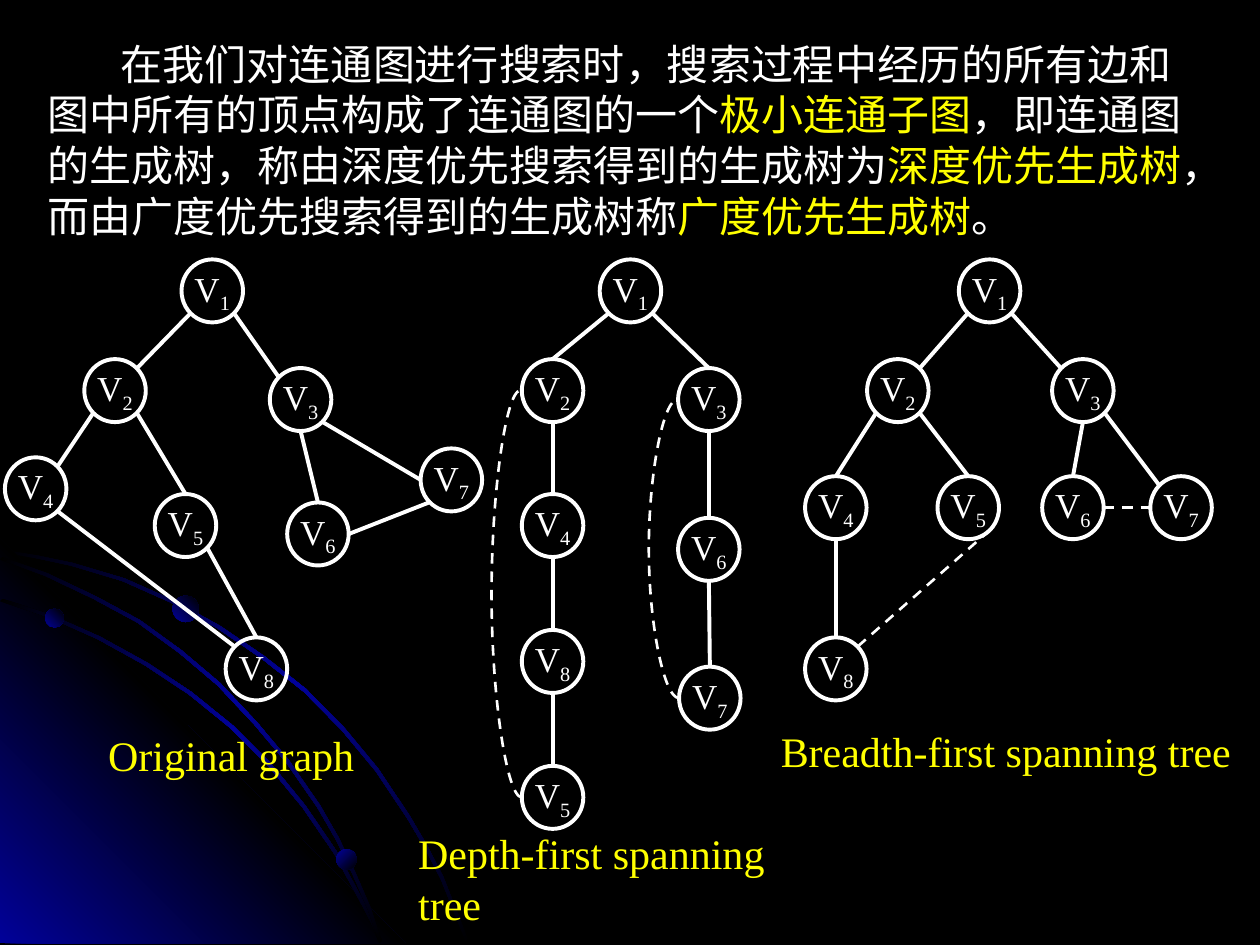
from math import cos, radians, sin

from lxml.etree import SubElement
from pptx import Presentation
from pptx.dml.color import RGBColor
from pptx.enum.dml import MSO_LINE
from pptx.enum.shapes import MSO_CONNECTOR, MSO_SHAPE
from pptx.enum.text import MSO_ANCHOR, PP_ALIGN
from pptx.oxml.ns import qn
from pptx.util import Cm, Pt

OVAL = MSO_SHAPE.OVAL
LINE, CURVE = MSO_CONNECTOR.STRAIGHT, MSO_CONNECTOR.CURVE
DASH = MSO_LINE.DASH
MIDDLE = MSO_ANCHOR.MIDDLE
CENTER = PP_ALIGN.CENTER

WHITE, YELLOW, BLACK, BLUE = "FFFFFF", "FFFF00", "000000", "010199"
LATIN, HAN = "Times New Roman", "Noto Sans CJK SC"
NODE_W, NODE_H = 1.24, 1.27
SIDES = ["e", "se", "s", "sw", "w", "nw", "n", "ne"]

ARCS = [
    [(0, 11.13), (0.71, 11.25), (1.42, 11.4), (2.46, 11.71), (3.43, 12.14),
     (4.39, 12.67), (5.28, 13.28), (6.12, 13.94), (6.88, 14.71), (7.57, 15.54),
     (8.2, 16.48), (8.56, 17.09), (8.89, 17.73), (9.14, 18.36), (9.4, 19.02)],
    [(0, 12.12), (0.99, 12.45), (1.96, 12.88), (2.92, 13.41), (3.81, 14),
     (4.65, 14.68), (5.41, 15.44), (6.1, 16.28), (6.73, 17.2), (7.24, 18.14),
     (7.47, 18.59), (7.65, 19.02)],
    [(0, 11.28), (0.91, 11.61), (1.88, 12.07), (2.77, 12.55), (3.61, 13.16),
     (4.39, 13.82), (5.13, 14.61), (5.77, 15.37), (6.4, 16.28), (6.78, 16.94),
     (7.11, 17.63), (7.42, 18.34), (7.65, 19.02)],
]
CORNER = [(8.18, 19.02), (0, 19.02), (0, 10.85)]
DOTS = [(0.91, 12.27, 0.38, 45), (6.78, 17.12, 0.41, 315), (3.48, 12.01, 0.53, 45)]

INTRO = [
    ("在我们对连通图进行搜索时，搜索过程中经历的所有边和图中所有的顶点构成了连通图的一个", WHITE),
    ("极小连通子图", YELLOW),
    ("，即连通图的生成树，称由深度优先搜索得到的生成树为", WHITE),
    ("深度优先生成树", YELLOW),
    ("，而由广度优先搜索得到的生成树称", WHITE),
    ("广度优先生成树", YELLOW),
    ("。", WHITE),
]

# Edges read as vertex and side, then vertex and side.
GRAPHS = [
    {"title": ("Depth-first spanning  tree", 8.18, 16.56, 9.17),
     "nodes": {"1": (12.09, 5.23), "2": (10.52, 7.24), "3": (13.67, 7.42),
               "4": (10.52, 9.96), "5": (10.52, 15.44), "8": (10.52, 12.7),
               "6": (13.67, 10.44), "7": (13.69, 13.44)},
     "solid": "1sw-2n 2s-4n 1se-3n 4s-8n 8s-5n 3s-6n 6s-7n",
     "dashed": "", "curved": "5w-2w 7w-3w"},
    {"title": ("Breadth-first spanning tree", 15.49, 14.5, 9.58),
     "nodes": {"1": (19.33, 5.23), "2": (17.48, 7.24), "3": (21.21, 7.24),
               "4": (16.23, 9.6), "5": (18.9, 9.6), "8": (16.23, 12.85),
               "6": (21.01, 9.6), "7": (23.19, 9.6)},
     "solid": "1sw-2ne 2sw-4n 1se-3nw 4s-8n 2se-5n 3s-6n 3se-7nw",
     "dashed": "5se-8ne 6e-7w", "curved": ""},
    {"title": ("Original graph", 1.93, 14.58, 5.46),
     "nodes": {"1": (3.66, 5.23), "2": (1.7, 7.24), "3": (5.44, 7.42),
               "4": (0.1, 9.22), "5": (3.12, 9.96), "8": (4.55, 12.85),
               "6": (5.79, 10.13), "7": (8.48, 9.04)},
     "solid": "1sw-2ne 2sw-4ne 1se-3nw 4se-8nw 2se-5n 5se-8n 3s-6n 3se-7w 6e-7sw",
     "dashed": "", "curved": ""},
]


def color(text):
    return RGBColor.from_string(text)


def put(target, **values):
    for name, value in values.items():
        setattr(target, name, value)


class Board:
    def __init__(self, slide):
        self.slide = slide
        self.shapes = slide.shapes
        put(self, size=24, node_size=20, edge=2.25, thin=1.5)
        slide.background.fill.solid()
        slide.background.fill.fore_color.rgb = color(BLACK)

    def run(self, para, text, size, tint, font=LATIN):
        run = para.add_run()
        run.text = text
        put(run.font, size=Pt(size), name=font)
        run.font.color.rgb = color(tint)
        if font == HAN:
            SubElement(run.font._element, qn("a:ea"), typeface=font)
        return run

    def blend(self, shape, tints, angle):
        """Fill a shape with evenly spaced gradient stops and no outline."""
        shape.shadow.inherit = False
        shape.line.fill.background()
        shape.fill.gradient()
        shape.fill.gradient_angle = angle
        stops = shape._element.spPr.find(".//" + qn("a:gsLst"))
        stops.clear()
        for i, tint in enumerate(tints):
            stop = SubElement(stops, qn("a:gs"), pos=str(100000 * i // (len(tints) - 1)))
            SubElement(stop, qn("a:srgbClr"), val=tint)

    def area(self, points, tints, angle):
        first, *rest = [(Cm(x), Cm(y)) for x, y in points]
        form = self.shapes.build_freeform(*first, scale=1.0)
        form.add_line_segments(rest, close=True)
        self.blend(form.convert_to_shape(), tints, angle)

    def arc(self, points):
        inner = [(x + 0.05, y - 0.05) for x, y in reversed(points)]
        self.area(points + inner, [BLACK, BLUE, BLACK], 315)

    def dot(self, x, y, size, angle):
        oval = self.shapes.add_shape(OVAL, Cm(x), Cm(y), Cm(size), Cm(size))
        self.blend(oval, [BLUE, BLACK], angle)

    def box(self, x, y, w, h, wrap):
        frame = self.shapes.add_textbox(Cm(x), Cm(y), Cm(w), Cm(h)).text_frame
        frame.word_wrap = wrap
        return frame

    def intro(self, parts):
        frame = self.box(0.71, 0.53, 23.98, 4.37, True)
        frame.margin_top = Cm(0.23)
        para = frame.paragraphs[0]
        para.line_spacing = Pt(29)
        para._p.get_or_add_pPr().set("indent", str(Cm(1.48)))
        for text, tint in parts:
            self.run(para, text, self.size, tint, HAN)

    def title(self, text, x, y, w):
        frame = self.box(x, y, w, 1.27, False)
        self.run(frame.paragraphs[0], text, self.size, YELLOW)

    def node(self, label, x, y):
        oval = self.shapes.add_shape(OVAL, Cm(x), Cm(y), Cm(NODE_W), Cm(NODE_H))
        oval.shadow.inherit = False
        oval.fill.background()
        oval.line.color.rgb = color(WHITE)
        oval.line.width = Pt(self.edge)
        put(oval.text_frame, word_wrap=False, vertical_anchor=MIDDLE)
        para = oval.text_frame.paragraphs[0]
        para.alignment = CENTER
        self.run(para, "V", self.node_size, WHITE)
        low = self.run(para, label, self.node_size, WHITE)
        low.font._element.set("baseline", "-25000")

    def link(self, start, end, dash=False, kind=LINE):
        line = self.shapes.add_connector(kind, *map(Cm, start + end))
        SubElement(line._element.spPr, qn("a:effectLst"))
        line.line.color.rgb = color(WHITE)
        line.line.width = Pt(self.thin if dash else self.edge)
        if dash:
            line.line.dash_style = DASH
        return line

    def bend(self, start, end):
        """Draw a dashed curve that swings out to the left of both ends."""
        slim, bulge = 0.03, 0.61
        line = self.link(start, (start[0] - slim, end[1]), True, CURVE)
        guides = line._element.spPr.find(".//" + qn("a:avLst"))
        ratio = round(bulge / slim * 100000)
        SubElement(guides, qn("a:gd"), name="adj1", fmla=f"val {ratio}")

    def graph(self, title, nodes, solid, dashed, curved):
        def site(mark):
            x, y = nodes[mark[0]]
            turn = radians(45 * SIDES.index(mark[1:]))
            return (x + NODE_W / 2 * (1 + cos(turn)), y + NODE_H / 2 * (1 + sin(turn)))

        def ends(edges):
            return [tuple(map(site, edge.split("-"))) for edge in edges.split()]

        for label, spot in nodes.items():
            self.node(label, *spot)
        for pair in ends(solid):
            self.link(*pair)
        for pair in ends(dashed):
            self.link(*pair, dash=True)
        for pair in ends(curved):
            self.bend(*pair)
        self.title(*title)


def main():
    deck = Presentation()
    put(deck, slide_width=Cm(25.4), slide_height=Cm(19.05))
    board = Board(deck.slides.add_slide(deck.slide_layouts[6]))
    board.arc(ARCS[0])
    board.area(CORNER, [BLUE, BLACK, BLUE], 45)
    for points in ARCS[1:]:
        board.arc(points)
    for dot in DOTS:
        board.dot(*dot)
    board.intro(INTRO)
    for graph in GRAPHS:
        board.graph(**graph)
    deck.save("out.pptx")


if __name__ == "__main__":
    main()
